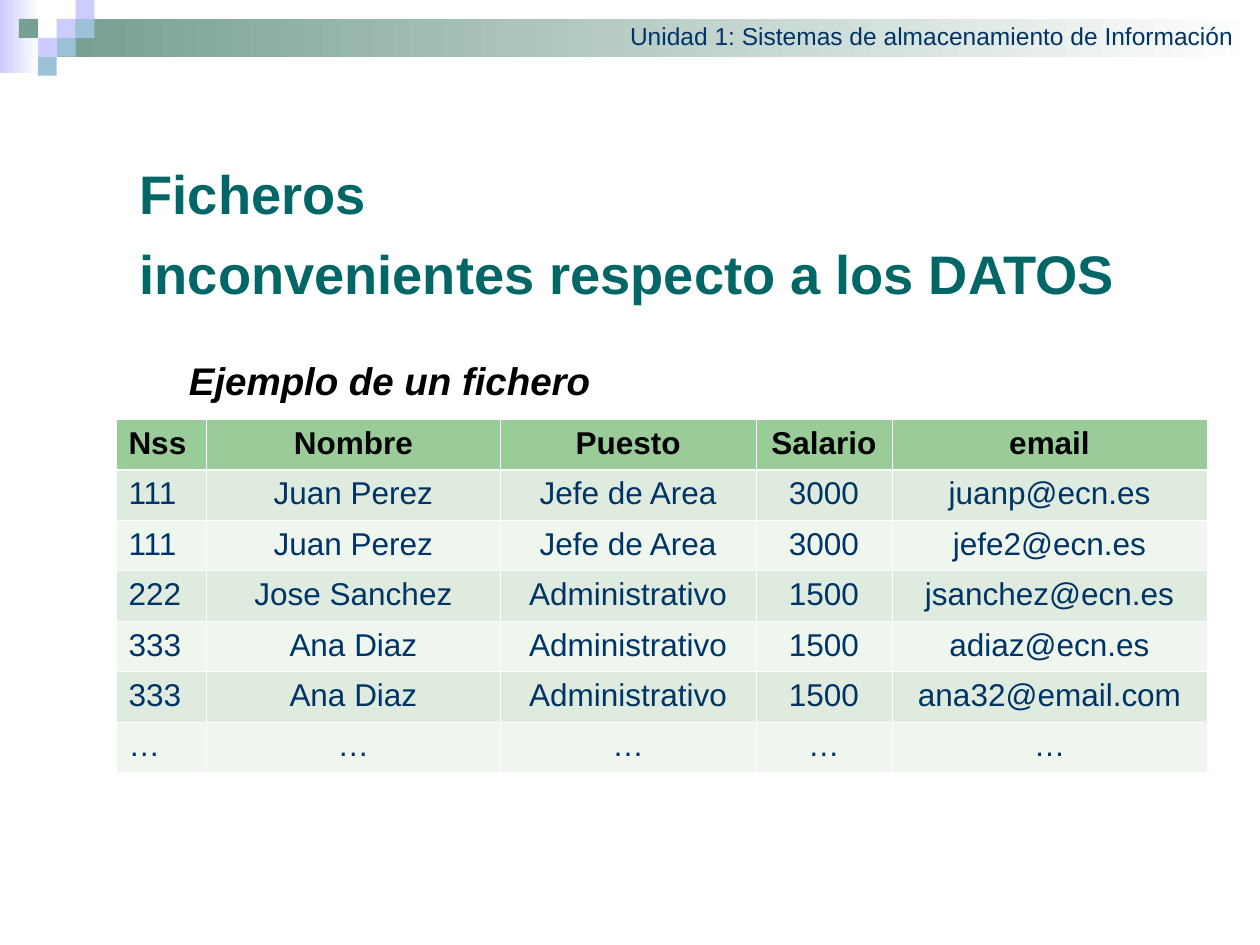
from lxml.etree import SubElement
from pptx import Presentation
from pptx.dml.color import RGBColor
from pptx.enum.shapes import MSO_SHAPE
from pptx.enum.text import MSO_ANCHOR, MSO_AUTO_SIZE, PP_ALIGN
from pptx.oxml.ns import qn
from pptx.util import Inches, Pt

HUES = {
    "white": "FFFFFF", "lilac": "CCCCFF", "sage": "779F92", "sky": "9DC2D7",
    "navy": "003366", "teal": "006666", "black": "000000",
    "head": "99CC99", "odd": "DEEBDE", "even": "EEF6EE",
}
TILE = 0.15
TILES = [
    (3, 1, "lilac"), (4, 0, "lilac"), (4, 1, "sky"), (2, 2, "lilac"),
    (1, 1, "sage"), (3, 2, "sky"), (2, 3, "sky"),
]
COLS = [0.72, 2.33, 2.03, 1.08, 2.5]
ROW = 0.4
DATA = [
    ("Nss", "Nombre", "Puesto", "Salario", "email"),
    ("111", "Juan Perez", "Jefe de Area", "3000", "juanp@ecn.es"),
    ("111", "Juan Perez", "Jefe de Area", "3000", "jefe2@ecn.es"),
    ("222", "Jose Sanchez", "Administrativo", "1500", "jsanchez@ecn.es"),
    ("333", "Ana Diaz", "Administrativo", "1500", "adiaz@ecn.es"),
    ("333", "Ana Diaz", "Administrativo", "1500", "ana32@email.com"),
    ("…",) * 5,
]


def tint(name):
    return RGBColor.from_string(HUES[name])


def add_rect(slide, x, y, w, h):
    rect = slide.shapes.add_shape(
        MSO_SHAPE.RECTANGLE, Inches(x), Inches(y), Inches(w), Inches(h))
    rect.shadow.inherit = False
    rect.line.fill.background()
    return rect


def add_tile(slide, col, row, hue):
    rect = add_rect(slide, col * TILE, row * TILE, TILE, TILE)
    rect.fill.solid()
    rect.fill.fore_color.rgb = tint(hue)


def add_fade(slide, x, y, w, h, hue):
    fill = add_rect(slide, x, y, w, h).fill
    fill.gradient()
    fill.gradient_angle = 180
    for stop, name in zip(fill.gradient_stops, ("white", hue)):
        stop.color.rgb = tint(name)


def add_run(para, text, size, hue, bold=False, slant=False):
    run = para.add_run()
    run.text = text
    font = run.font
    font.name = "Arial"
    font.size = Pt(size)
    font.color.rgb = tint(hue)
    font.bold = bold
    font.italic = slant


def set_frame(frame, wrap):
    frame.margin_left = frame.margin_right = 0
    frame.margin_top = frame.margin_bottom = 0
    frame.auto_size = MSO_AUTO_SIZE.NONE
    frame.vertical_anchor = MSO_ANCHOR.TOP
    frame.word_wrap = wrap


def add_title(slide, lines):
    title = slide.shapes.title
    title.left, title.top = Inches(1.11), Inches(1.25)
    title.width, title.height = Inches(8.02), Inches(0.94)
    frame = title.text_frame
    set_frame(frame, True)
    for i, line in enumerate(lines):
        para = frame.add_paragraph() if i else frame.paragraphs[0]
        para.alignment = PP_ALIGN.LEFT
        para.line_spacing = 1.05
        para.space_before = Pt(0)
        para.space_after = Pt(6.2)
        add_run(para, line, 31, "teal", bold=True)


def add_label(slide, x, y, w, h, text, size, hue, bold=False, slant=False):
    box = slide.shapes.add_textbox(Inches(x), Inches(y), Inches(w), Inches(h))
    set_frame(box.text_frame, False)
    add_run(box.text_frame.paragraphs[0], text, size, hue, bold, slant)


def add_edge(cell, side, width):
    props = cell._tc.get_or_add_tcPr()
    line = SubElement(props, qn("a:" + side), w=str(Pt(width)))
    fill = SubElement(line, qn("a:solidFill"))
    SubElement(fill, qn("a:srgbClr"), val=HUES["white"])


def fill_cell(cell, text, row, col):
    wide = {"lnT": row == 1, "lnB": row == 0}
    for side in ("lnL", "lnR", "lnT", "lnB"):
        add_edge(cell, side, 1.47 if wide.get(side) else 0.45)
    cell.fill.solid()
    cell.fill.fore_color.rgb = tint(
        "head" if row == 0 else "odd" if row % 2 else "even")
    para = cell.text_frame.paragraphs[0]
    para.alignment = PP_ALIGN.CENTER if col else PP_ALIGN.LEFT
    add_run(para, text, 18, "navy" if row else "black", bold=row == 0)


def add_grid(slide, x, y):
    table = slide.shapes.add_table(
        len(DATA), len(COLS), Inches(x), Inches(y),
        Inches(sum(COLS)), Inches(ROW * len(DATA))).table
    for col, width in zip(table.columns, COLS):
        col.width = Inches(width)
    for r, line in enumerate(DATA):
        table.rows[r].height = Inches(ROW)
        for c, text in enumerate(line):
            fill_cell(table.cell(r, c), text, r, c)


def main():
    deck = Presentation()
    deck.slide_width, deck.slide_height = Inches(10), Inches(7.5)
    slide = deck.slides.add_slide(deck.slide_layouts[5])
    add_fade(slide, 0, 0, 0.31, 0.58, "lilac")
    add_fade(slide, 0.45, 0.15, 9.55, 0.3, "sage")
    for col, row, hue in TILES:
        add_tile(slide, col, row, hue)
    add_label(slide, 5, 0.17, 4.79, 0.19,
              "Unidad 1: Sistemas de almacenamiento de Información", 14, "navy")
    add_title(slide, ["Ficheros", "inconvenientes respecto a los DATOS"])
    add_label(slide, 1.5, 2.83, 3.24, 0.35, "Ejemplo de un fichero",
              22, "black", bold=True, slant=True)
    add_grid(slide, 0.92, 3.33)
    deck.save("out.pptx")


if __name__ == "__main__":
    main()
